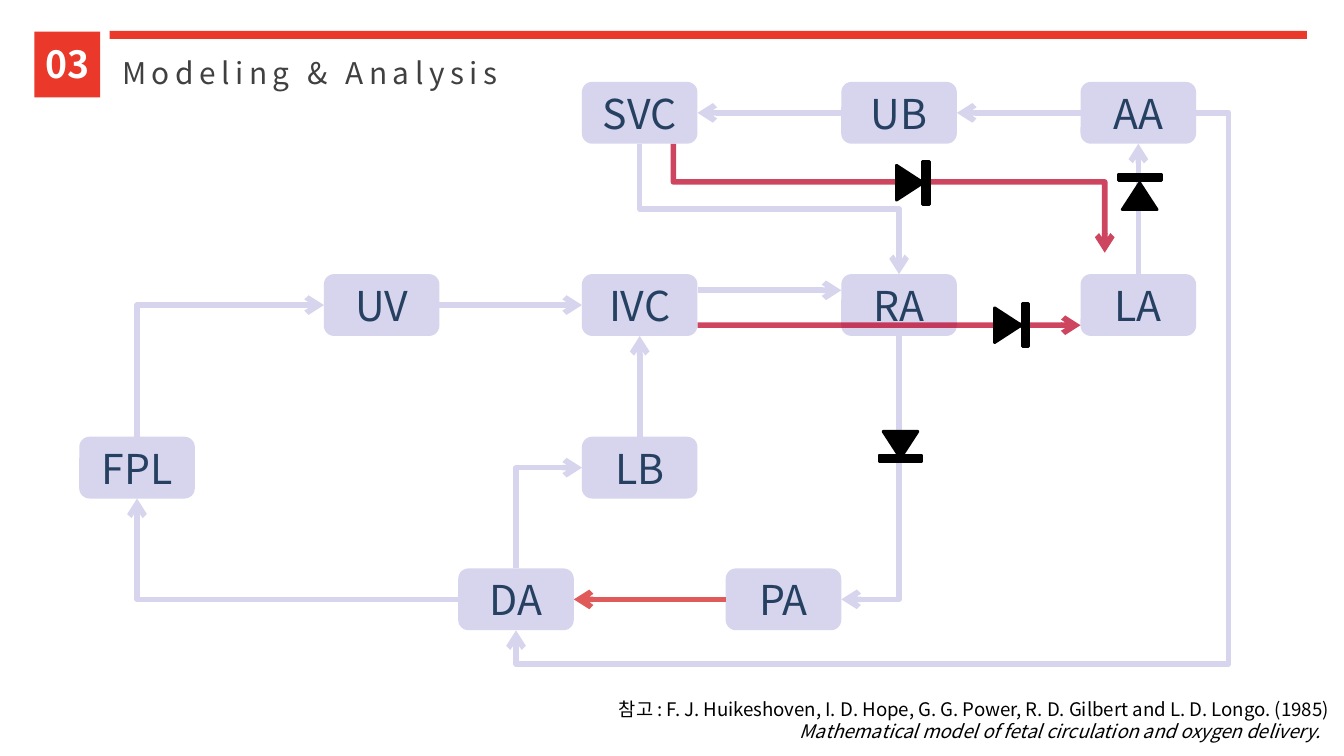
from dataclasses import dataclass

import pptx
import pptx.dml.color
import pptx.enum.shapes
import pptx.enum.text
import pptx.oxml
import pptx.oxml.ns
import pptx.util

SLIDE_W = 10
SLIDE_H = SLIDE_W * 9 / 16
FONT = "Noto Sans CJK KR"
RED, LILAC, NAVY, CRIMSON, CORAL = "EA382A", "D7D5ED", "254061", "BD0026", "E05A5A"
BLACK, WHITE, GREY = "000000", "FFFFFF", "404040"
SHAPE = pptx.enum.shapes.MSO_SHAPE
CONNECTOR = pptx.enum.shapes.MSO_CONNECTOR
ALIGN = pptx.enum.text.PP_ALIGN
ANCHOR = pptx.enum.text.MSO_ANCHOR
TOP, LEFT, BOTTOM, RIGHT = range(4)

# Centres of the diagram's columns and rows, and the size of a node
COLS = (1.02, 2.84, 3.84, 4.76, 5.83, 6.69, 8.47)
ROWS = (0.84, 2.27, 3.48, 4.46)
NODE_W, NODE_H = 0.86, 0.46

Point = tuple[float, float]


@dataclass
class Node:
    name: str
    col: int
    row: int

    @property
    def centre(self) -> Point:
        return COLS[self.col], ROWS[self.row]

    def side(self, site: int, shift: float = 0) -> Point:
        """Middle of a side, moved along that side by shift."""
        x, y = self.centre
        return {TOP: (x + shift, y - NODE_H / 2), LEFT: (x - NODE_W / 2, y + shift),
                BOTTOM: (x + shift, y + NODE_H / 2), RIGHT: (x + NODE_W / 2, y + shift)}[site]


@dataclass
class Link:
    """Straight link glued to the middles of two sides."""
    source: str
    out: int
    target: str
    into: int
    color: str = LILAC


@dataclass
class Elbow:
    """Bent link; adjust places its bends in percent of its extent."""
    begin: Point
    end: Point
    bends: int
    vertical: bool
    adjust: tuple[float, ...] = ()
    color: str = LILAC
    alpha: int = 100


@dataclass
class Valve:
    """Triangle pointing along the flow (0 is up) with a bar at its tip."""
    x: float
    y: float
    turn: int
    gap: float


NODES = {n.name: n for n in (
    Node("FPL", 0, 2), Node("IVC", 3, 1), Node("LA", 6, 1), Node("UV", 1, 1),
    Node("RA", 5, 1), Node("AA", 6, 0), Node("LB", 3, 2), Node("UB", 5, 0),
    Node("SVC", 3, 0), Node("PA", 4, 3), Node("DA", 2, 3))}

LINKS = (
    Link("UV", RIGHT, "IVC", LEFT), Link("UB", LEFT, "SVC", RIGHT),
    Link("AA", LEFT, "UB", RIGHT), Link("PA", LEFT, "DA", RIGHT, CORAL),
    Link("LB", TOP, "IVC", BOTTOM), Link("LA", TOP, "AA", BOTTOM))


def side(name: str, site: int, shift: float = 0) -> Point:
    return NODES[name].side(site, shift)


ELBOWS = (
    Elbow(side("FPL", TOP), side("UV", LEFT), 1, True),
    Elbow(side("DA", LEFT), side("FPL", BOTTOM), 1, False),
    Elbow(side("DA", TOP), side("LB", LEFT), 1, True),
    Elbow(side("RA", BOTTOM), side("PA", RIGHT), 1, True),
    Elbow(side("AA", RIGHT), side("DA", BOTTOM), 3, False, (-4.8, 106.5)),
    Elbow(side("SVC", BOTTOM), side("RA", TOP), 2, True, (50,)),
    Elbow(side("SVC", BOTTOM, 0.25), (8.22, 1.88), 2, True, (35,), CRIMSON, 73))

VALVES = (Valve(7.5, 2.42, 90, 0.13), Valve(6.77, 1.36, 90, 0.12),
          Valve(8.48, 1.46, 0, 0.14), Valve(6.7, 3.31, 180, 0.1))


def rgb(color: str) -> pptx.dml.color.RGBColor:
    return pptx.dml.color.RGBColor.from_string(color)


def inches(*values: float) -> list[int]:
    return [pptx.util.Inches(v) for v in values]


def child(parent, tag: str, **attrs):
    sub = parent.makeelement(pptx.oxml.ns.qn(tag), attrs)
    parent.append(sub)
    return sub


def write(p, text: str, color: str, spacing: int = 0, **fmt) -> None:
    r = p.add_run()
    r.text = text
    for key, value in ({"name": FONT} | fmt).items():
        setattr(r.font, key, value)
    r.font.color.rgb = rgb(color)
    rPr = r._r.get_or_add_rPr()
    latin = rPr.find(pptx.oxml.ns.qn("a:latin"))
    latin.addnext(rPr.makeelement(pptx.oxml.ns.qn("a:ea"), {"typeface": FONT}))
    if spacing:
        rPr.set("spc", str(spacing * 100))


def add_text_box(s, x: float, y: float, w: float, h: float, align):
    tf = s.shapes.add_textbox(*inches(x, y, w, h)).text_frame
    tf.word_wrap = True
    tf.paragraphs[0].alignment = align
    return tf


def add_block(s, kind, cx: float, cy: float, w: float, h: float, color: str):
    sp = s.shapes.add_shape(kind, *inches(cx - w / 2, cy - h / 2, w, h))
    sp.shadow.inherit = False
    sp.fill.solid()
    sp.fill.fore_color.rgb = rgb(color)
    sp.line.fill.background()
    return sp


def add_node(s, node: Node):
    sp = add_block(s, SHAPE.FLOWCHART_ALTERNATE_PROCESS, *node.centre, NODE_W, NODE_H, LILAC)
    tf = sp.text_frame
    for key, value in {"margin_left": 0, "margin_right": 0,
                       "vertical_anchor": ANCHOR.MIDDLE}.items():
        setattr(tf, key, value)
    tf.paragraphs[0].alignment = ALIGN.CENTER
    write(tf.paragraphs[0], node.name, NAVY, size=pptx.util.Pt(22))
    return sp


def add_arrow(s, kind, begin: Point, end: Point, color: str, alpha: int = 100):
    cxn = s.shapes.add_connector(kind, *inches(*begin, *end))
    cxn.line.width = pptx.util.Pt(3)
    cxn.line.color.rgb = rgb(color)
    ln = cxn.line._get_or_add_ln()
    if alpha < 100:
        child(ln.find(".//" + pptx.oxml.ns.qn("a:srgbClr")), "a:alpha", val=str(alpha * 1000))
    child(ln, "a:tailEnd", type="arrow")
    child(cxn._element.spPr, "a:effectLst")
    return cxn


def add_elbow(s, elbow: Elbow) -> None:
    """Elbows leave sideways, so one that leaves vertically is laid out a quarter turn back."""
    (x0, y0), (x1, y1) = elbow.begin, elbow.end
    cx, cy, dx, dy = (x0 + x1) / 2, (y0 + y1) / 2, x1 - x0, y1 - y0
    if elbow.vertical:
        dx, dy = dy, -dx
    cxn = add_arrow(s, CONNECTOR.ELBOW, (cx - dx / 2, cy - dy / 2),
                    (cx + dx / 2, cy + dy / 2), elbow.color, elbow.alpha)
    spPr = cxn._element.spPr
    if elbow.vertical:
        spPr.find(pptx.oxml.ns.qn("a:xfrm")).set("rot", str(90 * 60000))
    geom = spPr.find(pptx.oxml.ns.qn("a:prstGeom"))
    geom.set("prst", f"bentConnector{elbow.bends + 1}")
    for old in list(geom):
        geom.remove(old)
    guides = child(geom, "a:avLst")
    for i, percent in enumerate(elbow.adjust, 1):
        child(guides, "a:gd", name=f"adj{i}", fmla=f"val {round(percent * 1000)}")


def add_valve(s, valve: Valve) -> None:
    dx, dy = {0: (0, -1), 90: (1, 0), 180: (0, 1)}[valve.turn]
    parts = (
        (SHAPE.ISOSCELES_TRIANGLE, valve.x, valve.y, 0.26, 0.2, valve.turn),
        (SHAPE.RECTANGLE, valve.x + dx * valve.gap, valve.y + dy * valve.gap,
         0.05, 0.32, (valve.turn + 90) % 180))
    for *place, turn in parts:
        sp = add_block(s, *place, BLACK)
        sp.rotation = turn
        sp.line.color.rgb = rgb(BLACK)
        sp.line.width = pptx.util.Pt(1.5)


def add_header(s) -> None:
    p = add_text_box(s, 0.81, 0.36, 3.87, 0.37, ALIGN.LEFT).paragraphs[0]
    write(p, "Modeling & Analysis", GREY, spacing=3, size=pptx.util.Pt(16))
    add_block(s, SHAPE.RECTANGLE, 5.27, 0.26, 8.91, 0.06, RED)
    add_block(s, SHAPE.RECTANGLE, 0.5, 0.48, 0.49, 0.49, RED)
    p = add_text_box(s, 0.15, 0.26, 0.71, 0.44, ALIGN.CENTER).paragraphs[0]
    write(p, "03", WHITE, size=pptx.util.Pt(20), bold=True)


def add_reference(s) -> None:
    tf = add_text_box(s, 2.89, 5.14, 7.09, 0.61, ALIGN.RIGHT)
    size = pptx.util.Pt(10)
    write(tf.paragraphs[0], "참고 : F. J. Huikeshoven, I. D. Hope, G. G. Power, "
          "R. D. Gilbert and L. D. Longo. (1985)", BLACK, size=size)
    p = tf.add_paragraph()
    p.alignment = ALIGN.RIGHT
    p._p.get_or_add_pPr().set("marR", str(pptx.util.Inches(0.06)))
    write(p, "Mathematical model of fetal circulation and oxygen delivery.", BLACK,
          size=size, italic=True)


def main() -> None:
    prs = pptx.Presentation()
    prs.slide_width, prs.slide_height = inches(SLIDE_W, SLIDE_H)
    s = prs.slides.add_slide(prs.slide_layouts[6])
    add_header(s)
    boxes = {name: add_node(s, node) for name, node in NODES.items()}
    for link in LINKS:
        cxn = add_arrow(s, CONNECTOR.STRAIGHT, side(link.source, link.out),
                        side(link.target, link.into), link.color)
        cxn.begin_connect(boxes[link.source], link.out)
        cxn.end_connect(boxes[link.target], link.into)
    add_arrow(s, CONNECTOR.STRAIGHT, side("IVC", RIGHT, -0.11), side("RA", LEFT, -0.11), LILAC)
    add_arrow(s, CONNECTOR.STRAIGHT, side("IVC", RIGHT, 0.15), side("LA", LEFT, 0.15), CRIMSON, 73)
    for elbow in ELBOWS:
        add_elbow(s, elbow)
    add_reference(s)
    for valve in VALVES:
        add_valve(s, valve)
    prs.save("out.pptx")


if __name__ == "__main__":
    main()
